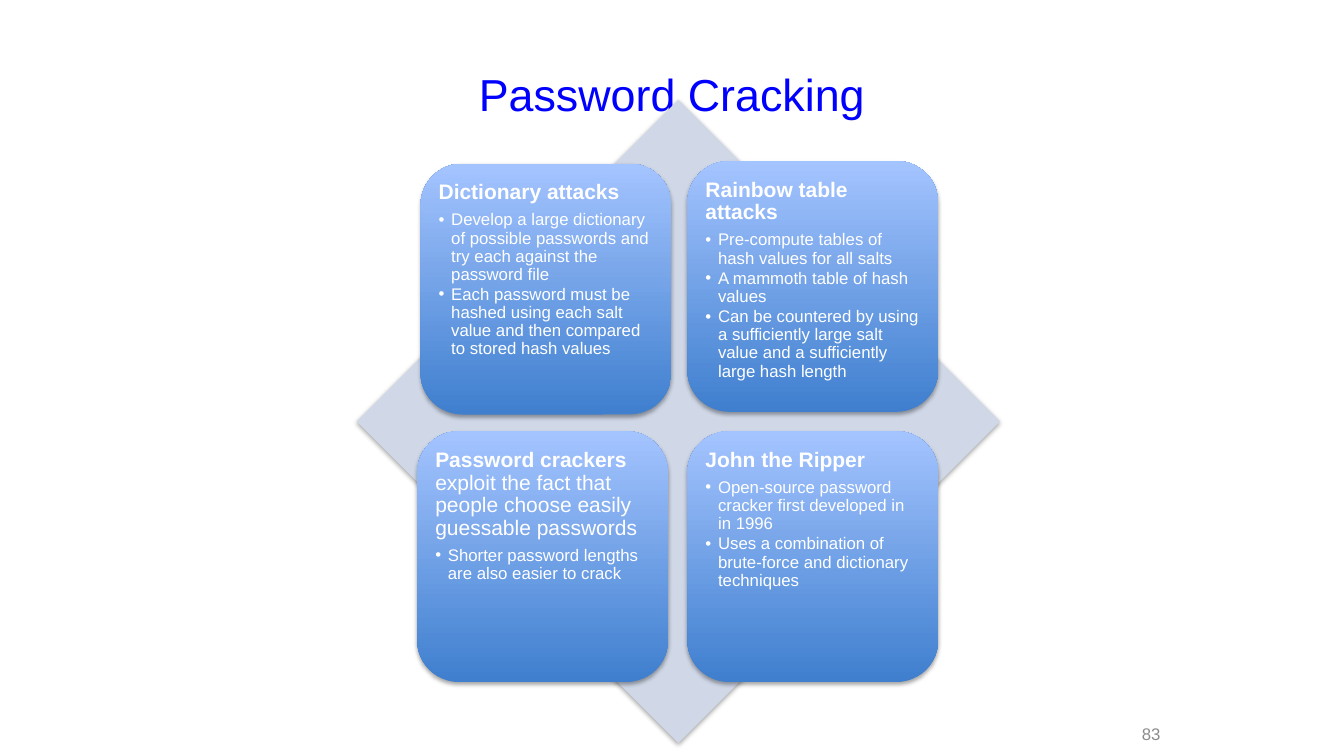
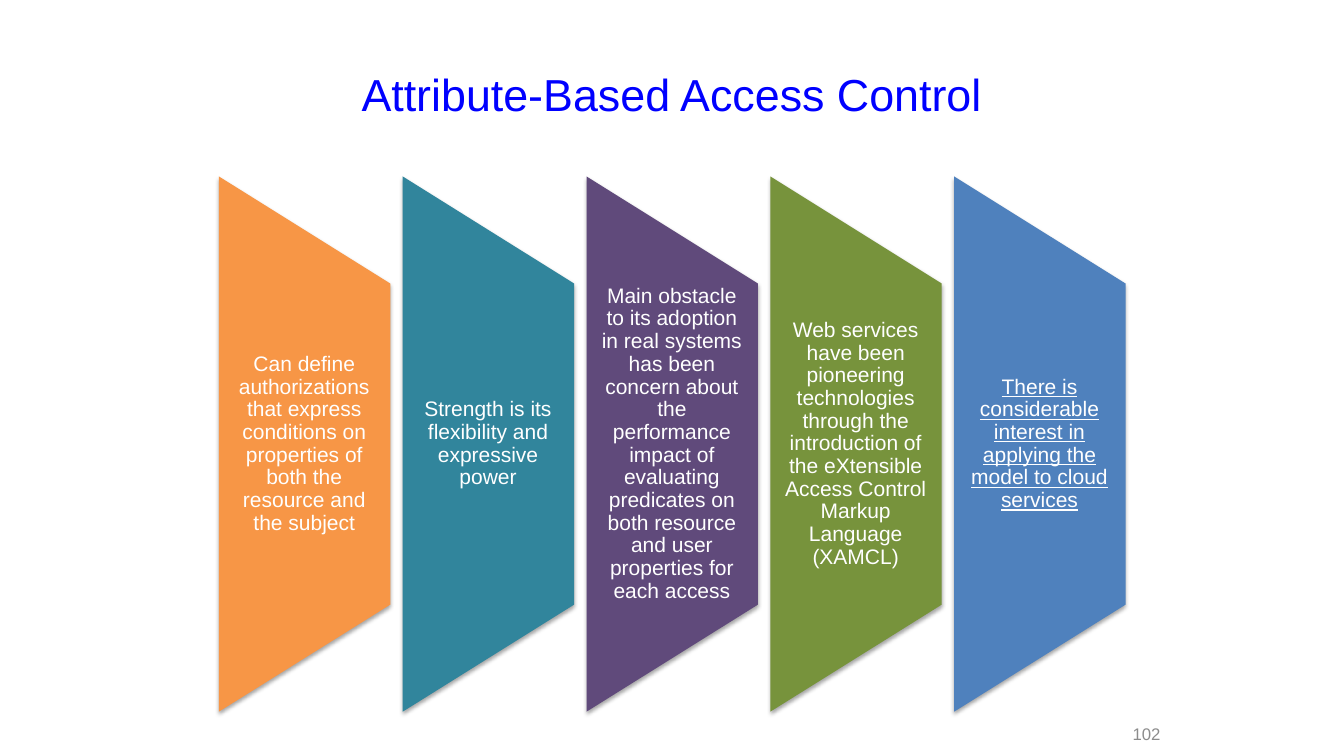
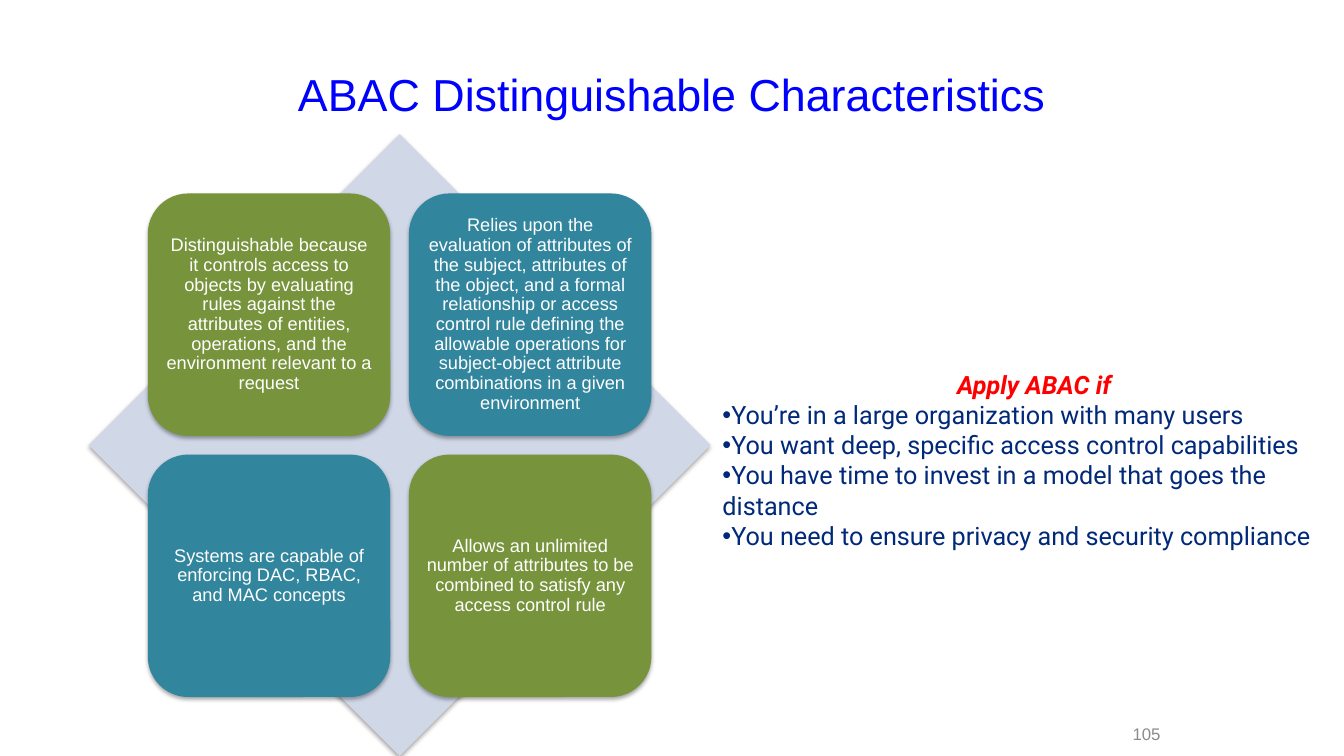
import lxml.etree
import pptx
import pptx.dml.color
import pptx.enum.shapes
import pptx.enum.text
import pptx.oxml.ns
import pptx.util

Pt = pptx.util.Pt
qn = pptx.oxml.ns.qn
Align = pptx.enum.text.PP_ALIGN
Anchor = pptx.enum.text.MSO_ANCHOR
Preset = pptx.enum.shapes.MSO_SHAPE

BLUE, TEAL, GREEN = "4F81BD", "31859C", "77933C"
ORANGE, PURPLE, WHITE = "F79646", "604A7B", "FFFFFF"


def rgb(value):
    return pptx.dml.color.RGBColor.from_string(value)


def add_xml(parent, tag, **attributes):
    return lxml.etree.SubElement(parent, qn(tag), attributes)


def set_format(target, values):
    for name, value in values.items():
        setattr(target, name, value)


class Deck:
    font = "Arial"
    title_color = "0000FF"
    number_color = "8C8C8C"
    diamond_color = "D0D8E8"
    card_gradient = ("3F7FCE", "A4C4FF")

    def __init__(self):
        self.presentation = pptx.Presentation()
        set_format(self.presentation, {"slide_width": Pt(960), "slide_height": Pt(540)})
        self.slide = None

    def new_slide(self, title, number):
        layout = self.presentation.slide_layouts[6]
        self.slide = self.presentation.slides.add_slide(layout)
        middle = {"vertical_anchor": Anchor.MIDDLE}
        self.text_box(
            (48, 21.6, 864, 90),
            [self.paragraph(title, 32, self.title_color, alignment=Align.CENTER)],
            middle,
        )
        self.text_box(
            (787, 518.4, 49, 10.8),
            [self.paragraph(number, 12, self.number_color, alignment=Align.RIGHT)],
            middle,
        )

    def paragraph(self, text, size, color=WHITE, bullet_indent=None, rest="",
                  font=None, layout=None, alignment=Align.LEFT, **style):
        base = {"name": font or self.font, "size": Pt(size)}
        runs = [(text, {**base, **style}, color)]
        if rest:
            runs.append((rest, base, color))
        return runs, bullet_indent, {"alignment": alignment, **(layout or {})}

    def heading(self, text, rest=""):
        layout = {"line_spacing": 0.9, "space_after": Pt(5)}
        return self.paragraph(text, 15, rest=rest, layout=layout, bold=True)

    def point(self, text):
        layout = {"line_spacing": 0.9, "space_after": Pt(1.5)}
        return self.paragraph(text, 12, bullet_indent=9, layout=layout)

    def statement(self, text, size, **style):
        return self.paragraph(text, size, alignment=Align.CENTER,
                              layout={"line_spacing": 0.9}, **style)

    def fill_text(self, frame, paragraphs, frame_format):
        set_format(frame, {"word_wrap": True, **frame_format})
        for index, (runs, bullet_indent, layout) in enumerate(paragraphs):
            line = frame.add_paragraph() if index else frame.paragraphs[0]
            if bullet_indent is not None:
                properties = line._p.get_or_add_pPr()
                properties.set("marL", str(Pt(bullet_indent)))
                properties.set("indent", str(-Pt(bullet_indent)))
                add_xml(properties, "a:buFont", typeface="Arial")
                add_xml(properties, "a:buChar", char="•")
            set_format(line, layout)
            for text, style, color in runs:
                run = line.add_run()
                run.text = text
                set_format(run.font, style)
                run.font.color.rgb = rgb(color)

    def text_box(self, box, paragraphs, frame_format):
        area = self.slide.shapes.add_textbox(*map(Pt, box))
        self.fill_text(area.text_frame, paragraphs, frame_format)

    def shape(self, preset, box, color=None):
        figure = self.slide.shapes.add_shape(preset, *map(Pt, box))
        if color:
            figure.fill.solid()
            figure.fill.fore_color.rgb = rgb(color)
        else:
            figure.fill.gradient()
            figure.fill.gradient_angle = 90
            for stop, stop_color in zip(figure.fill.gradient_stops, self.card_gradient):
                stop.color.rgb = rgb(stop_color)
        figure.line.fill.background()
        figure.shadow.inherit = False
        effects = figure._element.spPr.find(qn("a:effectLst"))
        shadow = add_xml(effects, "a:outerShdw", blurRad=str(Pt(3.1)),
                         dist=str(Pt(1.8)), dir="5400000", rotWithShape="0")
        shade = add_xml(shadow, "a:srgbClr", val="000000")
        add_xml(shade, "a:alpha", val="35000")
        return figure

    def diamond(self, left, top, side):
        self.shape(Preset.DIAMOND, (left, top, side, side), self.diamond_color)

    def card(self, left, top, side, paragraphs, inset, anchor, color=None):
        card = self.shape(Preset.ROUNDED_RECTANGLE, (left, top, side, side), color)
        margins = {f"margin_{edge}": Pt(inset) for edge in ("left", "top", "right", "bottom")}
        self.fill_text(card.text_frame, paragraphs, {"vertical_anchor": anchor, **margins})

    def banner(self, left, middle, width, height, color, text, **style):
        box = (left + (width - height) / 2, middle - width / 2, height, width)
        self.shape(Preset.FLOWCHART_MANUAL_OPERATION, box, color).rotation = 270
        text_height = height * 0.6
        self.text_box(
            (left, middle - text_height / 2, width, text_height),
            [self.statement(text, 15, **style)],
            {"vertical_anchor": Anchor.MIDDLE, "margin_left": Pt(7.2),
             "margin_right": Pt(7.6), "margin_top": 0, "margin_bottom": 0},
        )


def password_cracking(deck):
    deck.new_slide("Password Cracking", "83")
    deck.diamond(254.9, 71.3, 459.4)
    topics = [
        (300.4, 116.9, [
            deck.heading("Dictionary attacks"),
            deck.point("Develop a large dictionary of possible passwords and try each "
                       "against the password file"),
            deck.point("Each password must be hashed using each salt value and then "
                       "compared to stored hash values"),
        ]),
        (491, 115, [
            deck.heading("Rainbow table attacks"),
            deck.point("Pre-compute tables of hash values for all salts"),
            deck.point("A mammoth table of hash values"),
            deck.point("Can be countered by using a sufficiently large salt value and a "
                       "sufficiently large hash length"),
        ]),
        (298, 308, [
            deck.heading("Password crackers ",
                         "exploit the fact that people choose easily guessable passwords"),
            deck.point("Shorter password lengths are also easier to crack"),
        ]),
        (491, 308, [
            deck.heading("John the Ripper"),
            deck.point("Open-source password cracker first developed in in 1996"),
            deck.point("Uses a combination of brute-force and dictionary techniques"),
        ]),
    ]
    for left, top, paragraphs in topics:
        deck.card(left, top, 179.2, paragraphs, 4.2, Anchor.TOP)


def attribute_based_access(deck):
    deck.new_slide("Attribute-Based Access Control", "102")
    aspects = [
        (ORANGE, "Can define authorizations that express conditions on properties of both "
                 "the resource and the subject", {}),
        (TEAL, "Strength is its flexibility and expressive power", {}),
        (PURPLE, "Main obstacle to its adoption in real systems has been concern about the "
                 "performance impact of evaluating predicates on both resource and user "
                 "properties for each access", {}),
        (GREEN, "Web services have been pioneering technologies through the introduction of "
                "the eXtensible Access Control Markup Language (XAMCL)", {}),
        (BLUE, "There is considerable interest in applying the model to cloud services",
         {"underline": True}),
    ]
    for index, (color, text, style) in enumerate(aspects):
        deck.banner(156.4 + index * 131.3, 317.2, 122.4, 382.3, color, text, **style)


def abac_characteristics(deck):
    deck.new_slide("ABAC Distinguishable Characteristics", "105")
    deck.diamond(63.4, 95.8, 444.2)
    traits = [
        (GREEN, "Distinguishable because it controls access to objects by evaluating rules "
                "against the attributes of entities, operations, and the environment "
                "relevant to a request"),
        (TEAL, "Relies upon the evaluation of attributes of the subject, attributes of the "
               "object, and a formal relationship or access control rule defining the "
               "allowable operations for subject-object attribute combinations in a given "
               "environment"),
        (TEAL, "Systems are capable of enforcing DAC, RBAC, and MAC concepts"),
        (GREEN, "Allows an unlimited number of attributes to be combined to satisfy any "
                "access control rule"),
    ]
    for index, (color, text) in enumerate(traits):
        row, column = divmod(index, 2)
        deck.card(105.6 + column * 186.5, 138.2 + row * 186.5, 173.2,
                  [deck.statement(text, 13)], 3.8, Anchor.MIDDLE, color)

    conditions = [
        "You’re in a large organization with many users",
        "You want deep, specific access control capabilities",
        "You have time to invest in a model that goes the distance",
        "You need to ensure privacy and security compliance",
    ]
    advice = [deck.paragraph("Apply ABAC if", 18, "FF0000", font="Roboto",
                             alignment=Align.CENTER, bold=True, italic=True)]
    advice += [deck.paragraph(text, 18, "00297A", bullet_indent=0, font="Roboto")
               for text in conditions]
    deck.text_box((509, 260, 459.4, 116.6), advice, {"vertical_anchor": Anchor.TOP})


def main():
    deck = Deck()
    password_cracking(deck)
    attribute_based_access(deck)
    abac_characteristics(deck)
    deck.presentation.save("out.pptx")


if __name__ == "__main__":
    main()
